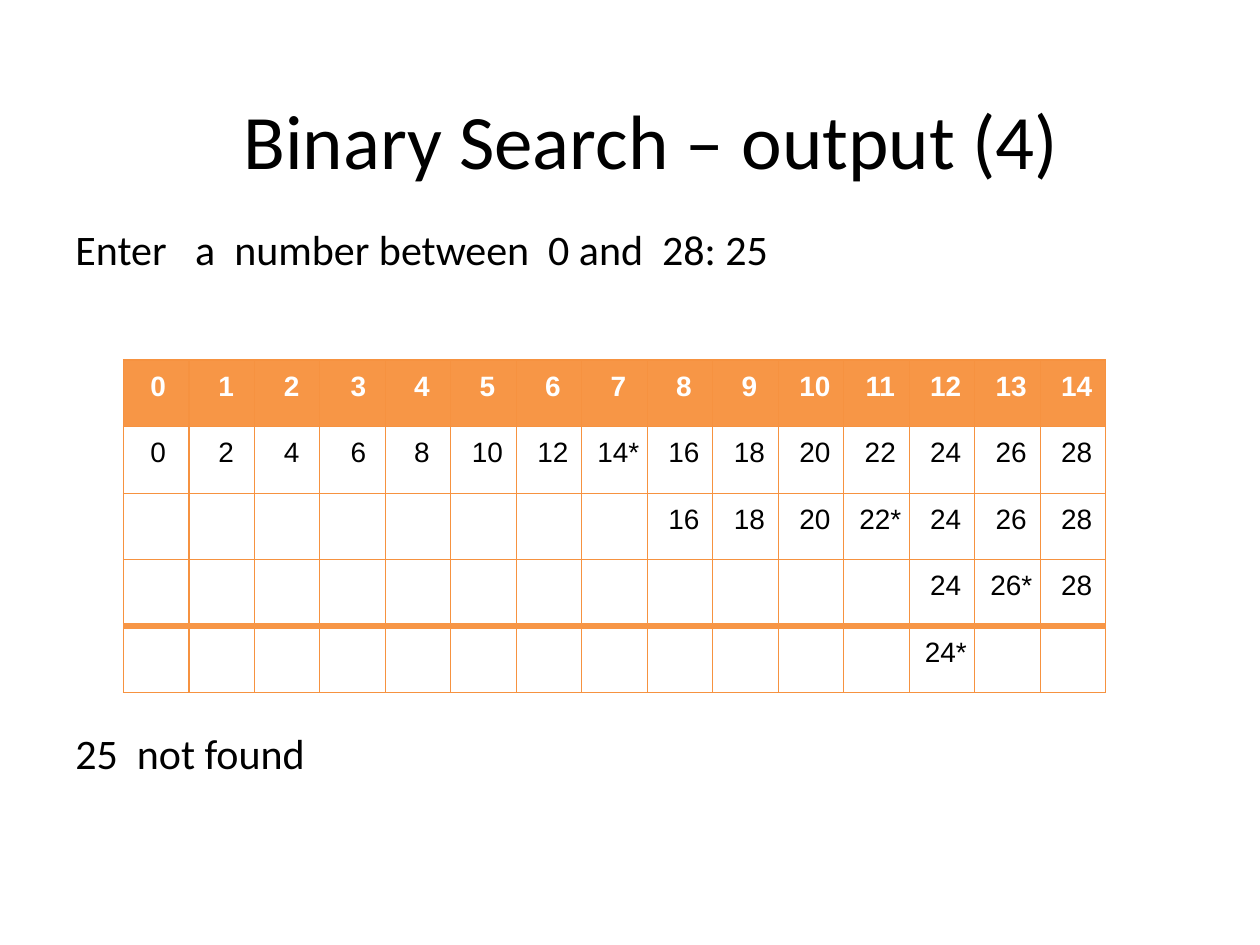
"""Build a slide that traces a binary search that finds no match."""
from dataclasses import dataclass

from lxml import etree
from pptx import Presentation
from pptx import util as u
from pptx.dml import color
from pptx.enum import text
from pptx.oxml import ns

WIDTH, HEIGHT = u.Inches(10), u.Inches(7.5)
SIZE, TARGET = 15, 25
CELL_INDENTS = [0.03, 0.07, 0.07, 0.09] + [0.06] * (SIZE - 4)


@dataclass(frozen=True)
class Theme:
    body_font: str = "Calibri"
    table_font: str = "Arial"
    title_size: float = 44
    body_size: float = 24
    cell_size: float = 16
    ink: str = "000000"
    header_ink: str = "FFFFFF"
    accent: str = "F79646"
    grid: str = "F69240"
    thin: float = 0.75
    thick: float = 4


THEME = Theme()


def place(left, top, width, height):
    return (round(left * WIDTH), round(top * HEIGHT),
            round(width * WIDTH), round(height * HEIGHT))


def style_runs(paragraph, font, size, ink, bold=False):
    for run in paragraph.runs:
        run.font.name = font
        run.font.size = u.Pt(size)
        run.font.bold = bold
        run.font.color.rgb = color.RGBColor.from_string(ink)


def add_text(slide, box, lines, size, align=text.PP_ALIGN.LEFT,
             anchor=text.MSO_ANCHOR.TOP, gap=0):
    shape = slide.shapes.add_textbox(*place(*box))
    frame = shape.text_frame
    frame.word_wrap = True
    frame.vertical_anchor = anchor
    frame.text = "\n".join(lines)
    for index, paragraph in enumerate(frame.paragraphs):
        paragraph.alignment = align
        paragraph.space_before = u.Pt(gap if index else 0)
        style_runs(paragraph, THEME.body_font, size, THEME.ink)


def search_rows(values, target):
    rows = []
    low, high = 0, len(values) - 1
    while low <= high:
        middle = (low + high) // 2
        rows.append([
            f"{value}{'*' if index == middle else ''}" if low <= index <= high else ""
            for index, value in enumerate(values)])
        if values[middle] < target:
            low = middle + 1
        else:
            high = middle - 1
    return rows


def set_border(cell, side, ink, width):
    properties = cell._tc.get_or_add_tcPr()
    line = etree.SubElement(properties, ns.qn(f"a:ln{side}"), w=str(u.Pt(width)))
    fill = etree.SubElement(line, ns.qn("a:solidFill"))
    etree.SubElement(fill, ns.qn("a:srgbClr"), val=ink)


def format_cell(cell, content, indent, header, thick_sides):
    cell.margin_left = cell.margin_right = cell.margin_top = cell.margin_bottom = 0
    cell.vertical_anchor = text.MSO_ANCHOR.MIDDLE
    for side in "LRTB":
        heavy = side in thick_sides
        set_border(cell, side, THEME.accent if heavy else THEME.grid,
                   THEME.thick if heavy else THEME.thin)
    if header:
        cell.fill.solid()
        cell.fill.fore_color.rgb = color.RGBColor.from_string(THEME.accent)
    else:
        cell.fill.background()
    if content:
        cell.text_frame.text = content
        paragraph = cell.text_frame.paragraphs[0]
        paragraph.alignment = text.PP_ALIGN.CENTER
        paragraph.line_spacing = u.Pt(10.1)
        paragraph.space_before = u.Pt(4.1)
        paragraph._p.get_or_add_pPr().set("marL", str(u.Inches(indent)))
        style_runs(paragraph, THEME.table_font, THEME.cell_size,
                   THEME.header_ink if header else THEME.ink, header)


def add_search_table(slide, box, rows):
    table = slide.shapes.add_table(len(rows), len(rows[0]), *place(*box)).table
    table.first_row = table.horz_banding = False
    thick_sides = {len(rows) - 2: "B", len(rows) - 1: "T"}
    for row_index, row in enumerate(rows):
        for column, content in enumerate(row):
            format_cell(table.cell(row_index, column), content, CELL_INDENTS[column],
                        row_index == 0, thick_sides.get(row_index, ""))


def main():
    presentation = Presentation()
    presentation.slide_width, presentation.slide_height = WIDTH, HEIGHT
    slide = presentation.slides.add_slide(presentation.slide_layouts[6])
    values = [2 * index for index in range(SIZE)]
    add_text(slide, (0.05, 0.23, 0.9, 0.73),
             [f"Enter   a  number between  0 and  {values[-1]}: {TARGET}",
              f"{TARGET}  not found"], THEME.body_size, gap=259)
    add_text(slide, (0.067, 0.063, 0.9, 0.167), ["Binary Search – output (4)"],
             THEME.title_size, text.PP_ALIGN.CENTER, text.MSO_ANCHOR.MIDDLE)
    header = [str(index) for index in range(SIZE)]
    add_search_table(slide, (0.098, 0.381, 0.78, 0.352),
                     [header] + search_rows(values, TARGET))
    presentation.save("out.pptx")


main()
